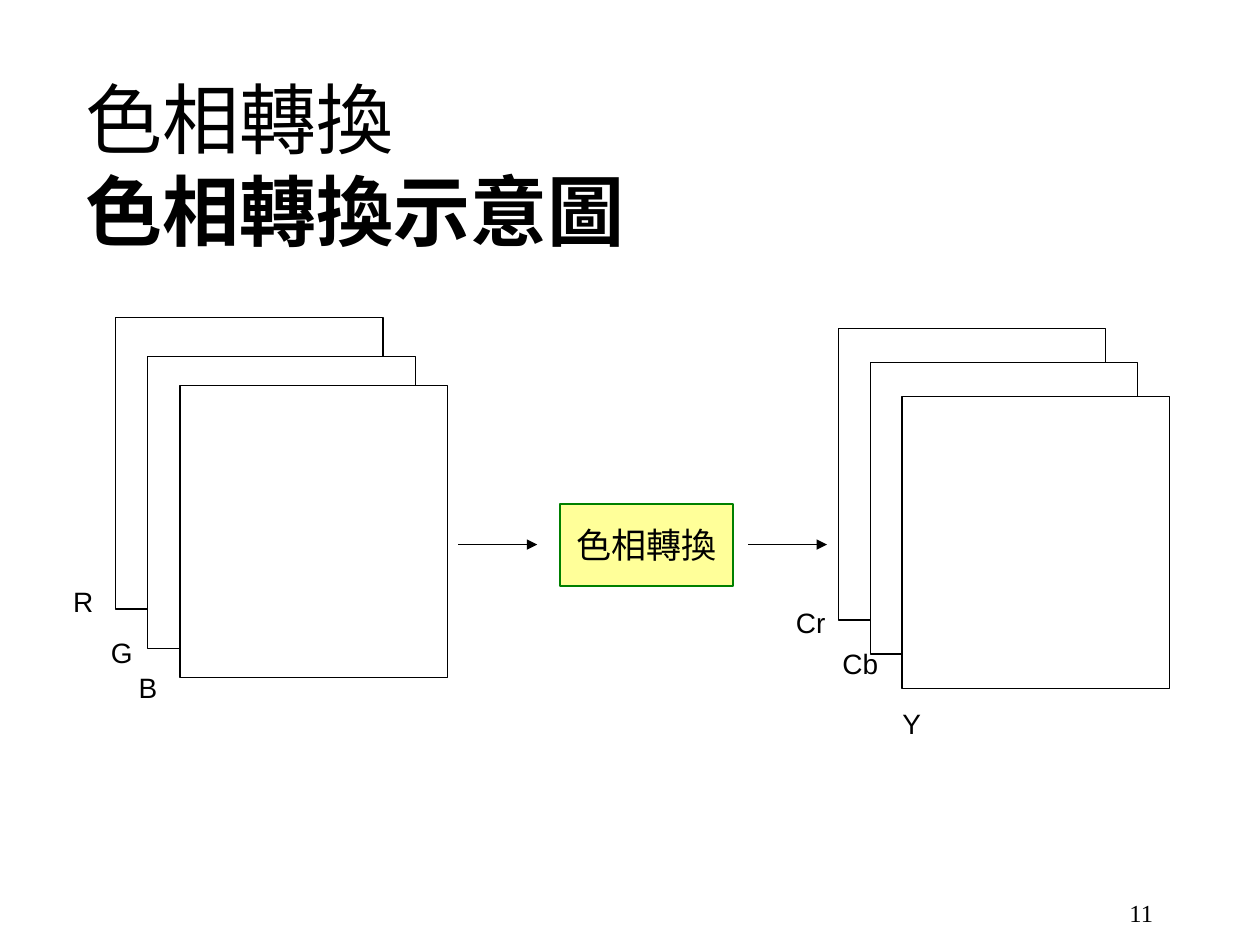
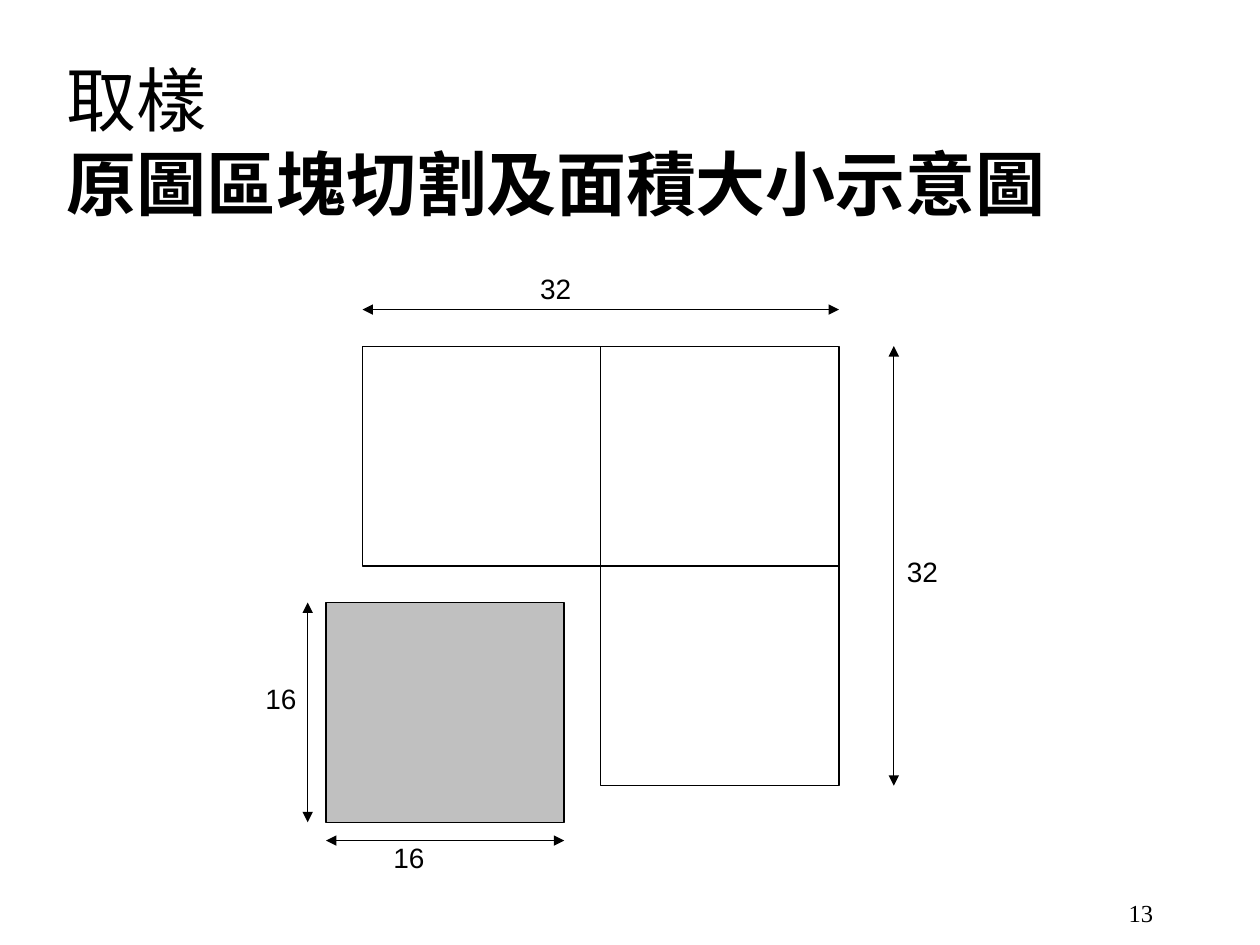
from lxml.etree import SubElement
from pptx import Presentation
from pptx.dml.color import RGBColor
from pptx.enum.shapes import MSO_CONNECTOR, MSO_SHAPE
from pptx.enum.text import MSO_ANCHOR, PP_ALIGN
from pptx.oxml.ns import qn
from pptx.util import Pt

BLACK = RGBColor(0x00, 0x00, 0x00)
WHITE = RGBColor(0xFF, 0xFF, 0xFF)
GREEN = RGBColor(0x00, 0x80, 0x00)
YELLOW = RGBColor(0xFF, 0xFF, 0x99)
GRAY = RGBColor(0xC0, 0xC0, 0xC0)

CONVERSION = {
    "title": ("色相轉換", "色相轉換示意圖"),
    "title_size": 44,
    "title_area": (41.8, 36, 482.4, 115.2),
    "page": "11",
}
SAMPLING = {
    "title": ("取樣", "原圖區塊切割及面積大小示意圖"),
    "title_size": 40,
    "title_area": (31, 15.1, 583.9, 130.3),
    "page": "13",
}

# Colour planes: left edge of the rear sheet, step to the right, top of each sheet
SHEET_SIZE = (152.8, 166.6)
SHEET_STACKS = [
    (66.2, 18.3, (181.4, 203.9, 220.4)),
    (479.1, 18.2, (187.7, 207.2, 226.7)),
]
PLANE_LABELS = [
    ("R", 34.7, 330.6, 25.8),
    ("G", 56.1, 359.4, 26.8),
    ("B", 71.8, 379.4, 25.3),
    ("Cr", 447.8, 342.6, 31),
    ("Cb", 474.3, 365.9, 34.7),
    ("Y", 508.3, 400.2, 25.2),
]
CONVERTER_AREA = (319.9, 288, 99.2, 46.8)
FLOW_Y = 311.2
FLOW_STARTS = (262, 427.6)
FLOW_LENGTH = 45

# Block grid: column and row of each white block
BLOCK_WIDTH, BLOCK_HEIGHT = 136.1, 125.6
GRID_LEFT, GRID_TOP = 207.2, 197.8
WHITE_BLOCKS = [(0, 0), (1, 1), (1, 0)]
SAMPLE_SHIFT = 20.9
SIZE_LABELS = [
    ("32", 301.5, 151.9, 41.8),
    ("32", 511.1, 313.1, 41.8),
    ("16", 217.7, 476.9, 52.4),
    ("16", 144.6, 386, 52.4),
]


def add_text(slide, area, lines, size, font="Arial", align=PP_ALIGN.LEFT,
             anchor=MSO_ANCHOR.TOP, wrap=True, bold_last=False):
    """Write lines as one paragraph with line breaks."""
    box = slide.shapes.add_textbox(*map(Pt, area))
    write(box, lines, size, font, align, anchor, wrap, bold_last)


def write(box, lines, size, font, align, anchor, wrap, bold_last=False):
    frame = box.text_frame
    frame.word_wrap = wrap
    frame.vertical_anchor = anchor
    para = frame.paragraphs[0]
    para.alignment = align
    for index, line in enumerate(lines):
        if index:
            para.add_line_break()
        span = para.add_run()
        span.text = line
        span.font.name = font
        span.font.size = Pt(size)
        span.font.color.rgb = BLACK
        span.font.bold = bold_last and index == len(lines) - 1


def add_rectangle(slide, area, fill=WHITE, outline=BLACK, weight=0.75):
    box = slide.shapes.add_shape(MSO_SHAPE.RECTANGLE, *map(Pt, area))
    box.shadow.inherit = False
    box.fill.solid()
    box.fill.fore_color.rgb = fill
    box.line.color.rgb = outline
    box.line.width = Pt(weight)
    return box


def add_arrow(slide, start, end, weight=0.75, ends=("headEnd", "tailEnd")):
    arrow = slide.shapes.add_connector(MSO_CONNECTOR.STRAIGHT, *map(Pt, start + end))
    arrow.line.color.rgb = BLACK
    arrow.line.width = Pt(weight)
    properties = arrow.element.spPr
    line = properties.find(qn("a:ln"))
    for tip in ends:
        SubElement(line, qn(f"a:{tip}"), type="triangle")
    SubElement(properties, qn("a:effectLst"))


def add_slide(deck, content):
    """Add a blank slide with the shared title and page number."""
    slide = deck.slides.add_slide(deck.slide_layouts[6])
    add_text(slide, content["title_area"], content["title"], content["title_size"],
             anchor=MSO_ANCHOR.MIDDLE, bold_last=True)
    add_text(slide, (516.2, 509.8, 149.8, 36), [content["page"]], 14,
             font="Times New Roman", align=PP_ALIGN.RIGHT)
    return slide


def build_conversion(deck):
    slide = add_slide(deck, CONVERSION)
    for left, step, tops in SHEET_STACKS:
        for index, top in enumerate(tops):
            add_rectangle(slide, (left + index * step, top, *SHEET_SIZE))
    for label, left, top, width in PLANE_LABELS:
        add_text(slide, (left, top, width, 26.6), [label], 16,
                 align=PP_ALIGN.CENTER, anchor=MSO_ANCHOR.MIDDLE, wrap=False)
    converter = add_rectangle(slide, CONVERTER_AREA, YELLOW, GREEN, 1)
    write(converter, ["色相轉換"], 20, "Arial", PP_ALIGN.CENTER,
          MSO_ANCHOR.MIDDLE, False)
    for left in FLOW_STARTS:
        add_arrow(slide, (left, FLOW_Y), (left + FLOW_LENGTH, FLOW_Y), 1, ["tailEnd"])


def build_sampling(deck):
    slide = add_slide(deck, SAMPLING)
    for column, row in WHITE_BLOCKS:
        add_rectangle(slide, (GRID_LEFT + column * BLOCK_WIDTH,
                              GRID_TOP + row * BLOCK_HEIGHT,
                              BLOCK_WIDTH, BLOCK_HEIGHT))
    sample_left = GRID_LEFT - SAMPLE_SHIFT
    sample_top = GRID_TOP + BLOCK_HEIGHT + SAMPLE_SHIFT
    add_rectangle(slide, (sample_left, sample_top, BLOCK_WIDTH, BLOCK_HEIGHT), GRAY)

    # Left, top, width, height of the measured area, then arrow x and y
    measures = [
        (GRID_LEFT, GRID_TOP, 2 * BLOCK_WIDTH, 2 * BLOCK_HEIGHT,
         GRID_LEFT + 2 * BLOCK_WIDTH + 1.5 * SAMPLE_SHIFT, GRID_TOP - SAMPLE_SHIFT),
        (sample_left, sample_top, BLOCK_WIDTH, BLOCK_HEIGHT,
         sample_left - SAMPLE_SHIFT / 2, sample_top + BLOCK_HEIGHT + SAMPLE_SHIFT / 2),
    ]
    for left, top, width, height, arrow_x, arrow_y in measures:
        add_arrow(slide, (arrow_x, top), (arrow_x, top + height))
        add_arrow(slide, (left, arrow_y), (left + width, arrow_y))
    for label, left, top, width in SIZE_LABELS:
        add_text(slide, (left, top, width, 31.4), [label], 16)


def main():
    deck = Presentation()
    deck.slide_width, deck.slide_height = Pt(720), Pt(540)
    build_conversion(deck)
    build_sampling(deck)
    deck.save("out.pptx")


if __name__ == "__main__":
    main()
